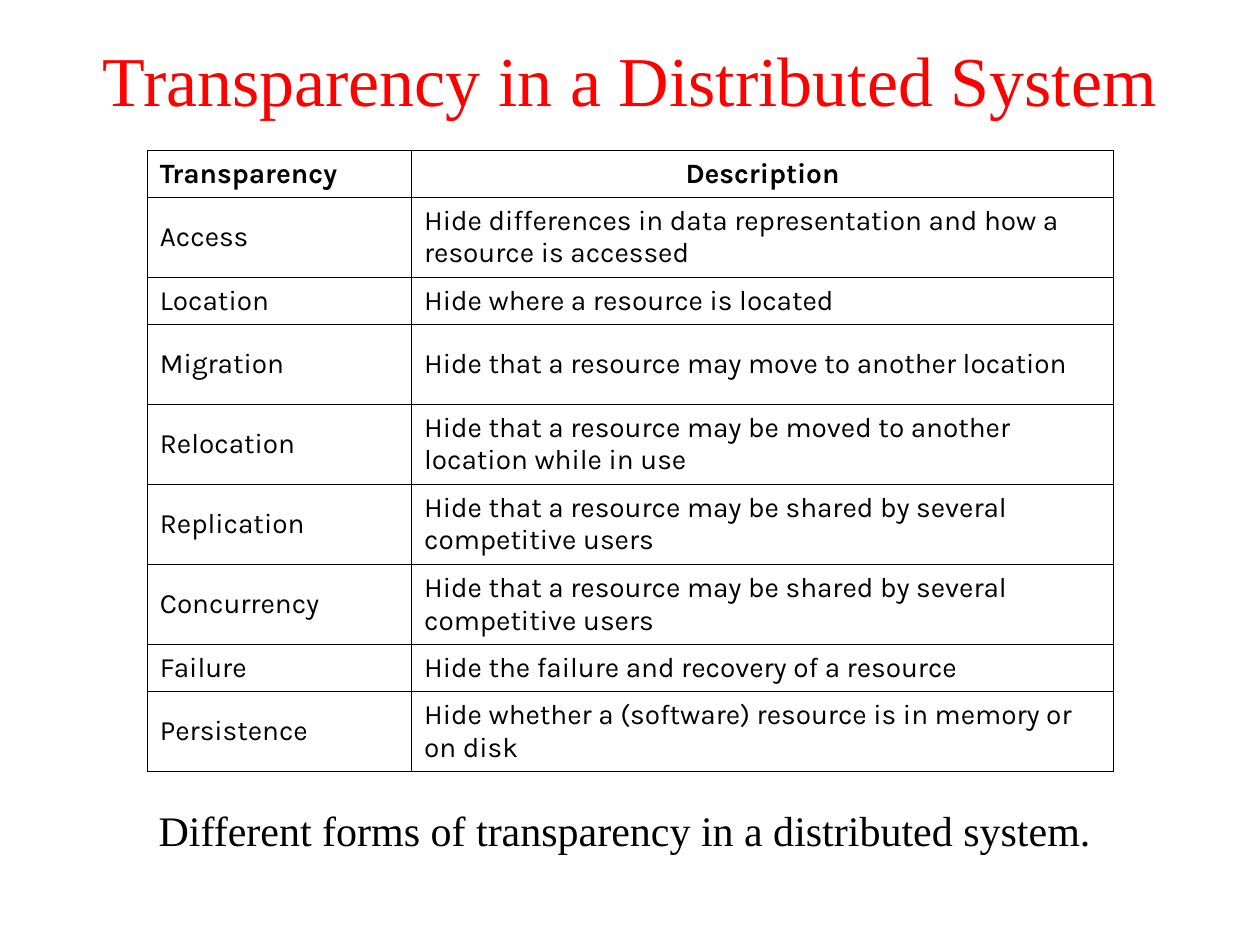
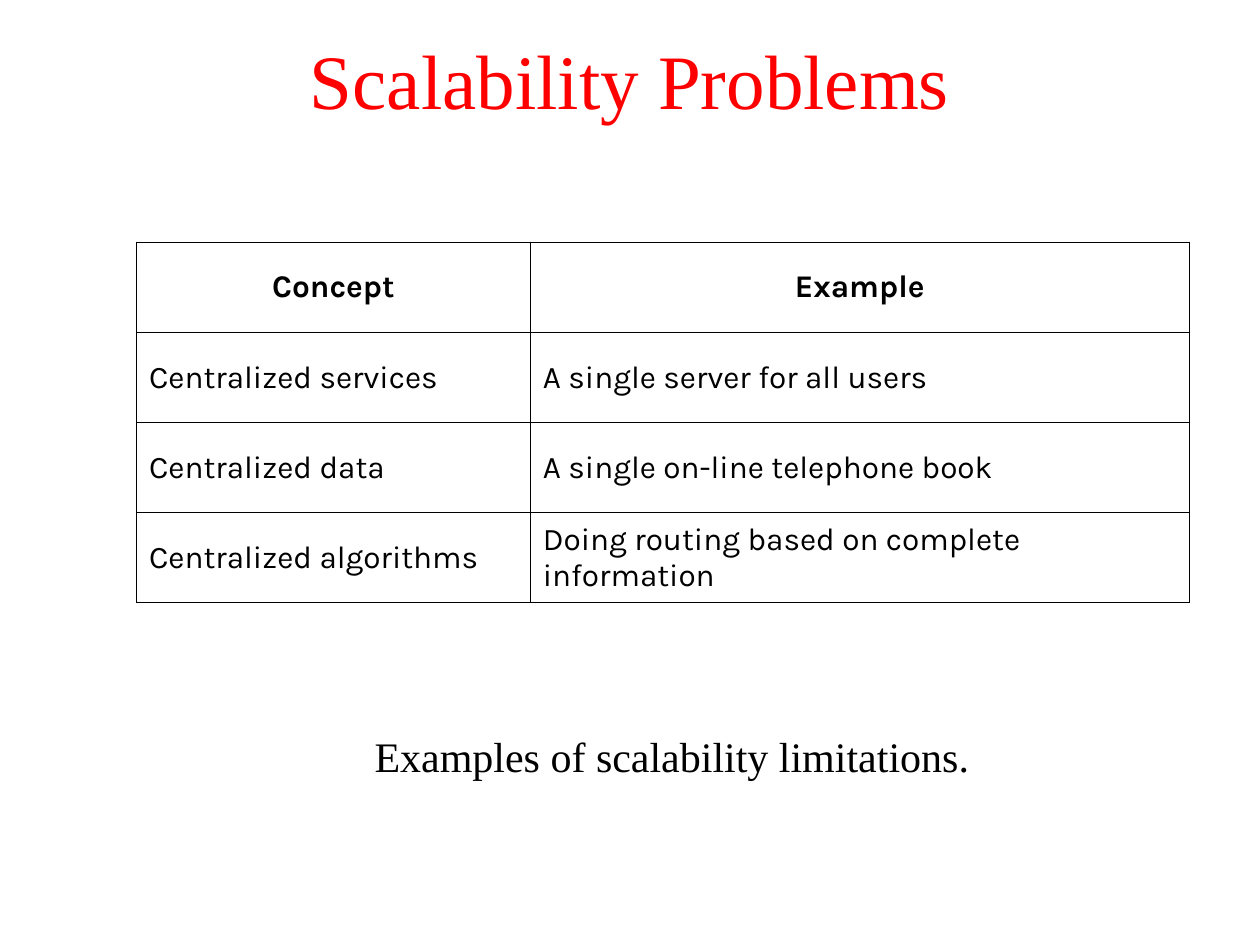
from lxml import etree
from pptx import Presentation
from pptx.dml.color import RGBColor
from pptx.enum.text import MSO_ANCHOR, PP_ALIGN
from pptx.oxml.ns import qn
from pptx.util import Pt

RED = RGBColor(0xFF, 0x00, 0x00)
BLACK = RGBColor(0x00, 0x00, 0x00)
SERIF, SANS = "Times New Roman", "Karla"
LEFT, CENTER = PP_ALIGN.LEFT, PP_ALIGN.CENTER
TOP, MIDDLE = MSO_ANCHOR.TOP, MSO_ANCHOR.MIDDLE
OUTER, INNER = Pt(0.5), Pt(0.23)

SLIDES = [
    dict(
        title="Transparency in a Distributed System", title_size=40,
        caption="Different forms of transparency in a distributed system.",
        caption_box=(24, 456, 666, 36),
        left=84.2, top=85.8, cols=(151, 401.2), size=16,
        heights=[26.8, 45.8, 26.8] + [45.8] * 4 + [26.8, 45.8],
        header_aligns=(LEFT, CENTER),
        rows=[
            ("Transparency", "Description"),
            ("Access", "Hide differences in data representation and how a resource is accessed"),
            ("Location", "Hide where a resource is located"),
            ("Migration", "Hide that a resource may move to another location"),
            ("Relocation", "Hide that a resource may be moved to another location while in use"),
            ("Replication", "Hide that a resource may be shared by several competitive users"),
            ("Concurrency", "Hide that a resource may be shared by several competitive users"),
            ("Failure", "Hide the failure and recovery of a resource"),
            ("Persistence", "Hide whether a (software) resource is in memory or on disk"),
        ],
    ),
    dict(
        title="Scalability Problems", title_size=44,
        caption="Examples of scalability limitations.",
        caption_box=(96, 414, 576, 36),
        left=78, top=138.3, cols=(225, 376.6), size=18,
        heights=[51.5] * 4,
        header_aligns=(CENTER, CENTER),
        rows=[
            ("Concept", "Example"),
            ("Centralized services", "A single server for all users"),
            ("Centralized data", "A single on-line telephone book"),
            ("Centralized algorithms", "Doing routing based on complete information"),
        ],
    ),
]


def write_text(tf, text, size, font=SERIF, color=BLACK, bold=False,
               align=CENTER, spacing=1.0):
    tf.word_wrap = True
    p = tf.paragraphs[0]
    p.alignment = align
    p.line_spacing = spacing
    r = p.add_run()
    r.text = text
    r.font.name, r.font.size, r.font.bold = font, Pt(size), bold
    r.font.color.rgb = color


def set_borders(cell, widths):
    """Draw black cell edges; widths maps L, R, T and B, in that order."""
    tc_pr = cell._tc.get_or_add_tcPr()
    for side, width in widths.items():
        ln = etree.SubElement(tc_pr, qn(f"a:ln{side}"), w=str(width))
        fill = etree.SubElement(ln, qn("a:solidFill"))
        etree.SubElement(fill, qn("a:srgbClr"), val=str(BLACK))


prs = Presentation()
prs.slide_width, prs.slide_height = Pt(720), Pt(540)

for page in SLIDES:
    s = prs.slides.add_slide(prs.slide_layouts[6])

    for box, anchor, text, size, color in (
        ((0, 0, 720, 90), MIDDLE, page["title"], page["title_size"], RED),
        (page["caption_box"], TOP, page["caption"], 24, BLACK),
    ):
        tf = s.shapes.add_textbox(*map(Pt, box)).text_frame
        tf.vertical_anchor = anchor
        write_text(tf, text, size, color=color)

    rows, cols, heights = page["rows"], page["cols"], page["heights"]
    table = s.shapes.add_table(
        len(rows), len(cols), Pt(page["left"]), Pt(page["top"]),
        Pt(sum(cols)), Pt(sum(heights))).table
    table.first_row = table.horz_banding = False
    for column, width in zip(table.columns, cols):
        column.width = Pt(width)

    for i, row in enumerate(rows):
        table.rows[i].height = Pt(heights[i])
        for j, text in enumerate(row):
            cell = table.cell(i, j)
            cell.vertical_anchor = MIDDLE
            set_borders(cell, {
                "L": OUTER if j == 0 else INNER,
                "R": OUTER if j == len(cols) - 1 else INNER,
                "T": OUTER if i == 0 else INNER,
                "B": OUTER if i == len(rows) - 1 else INNER,
            })
            cell.fill.background()
            write_text(cell.text_frame, text, page["size"], font=SANS, bold=i == 0,
                       align=page["header_aligns"][j] if i == 0 else LEFT,
                       spacing=0.98)

prs.save("out.pptx")
